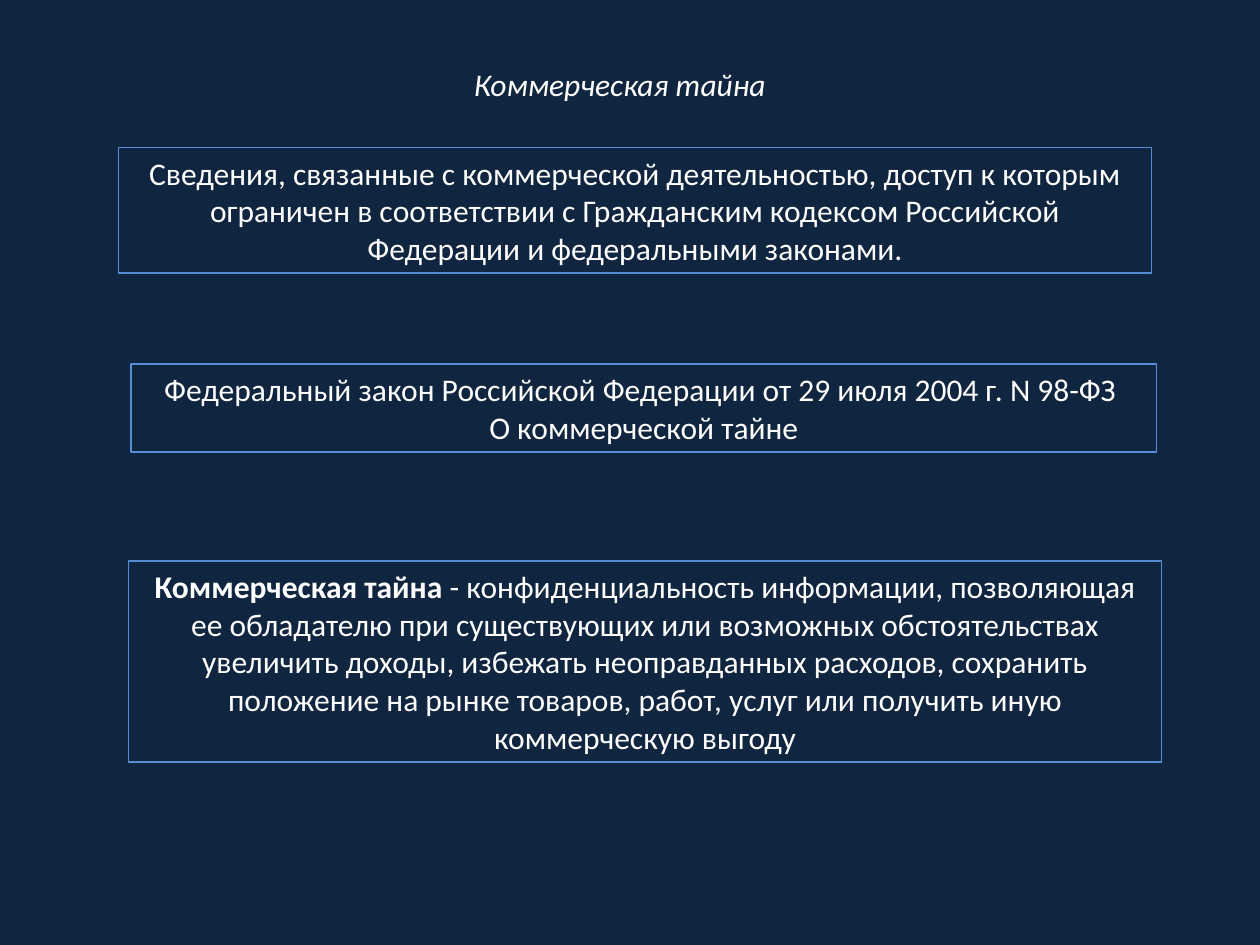
from pptx import Presentation
from pptx.dml.color import RGBColor
from pptx.enum.shapes import MSO_SHAPE as Shape
from pptx.enum.text import MSO_ANCHOR as Anchor, MSO_AUTO_SIZE as AutoSize, PP_ALIGN as Align
from pptx.util import Inches, Pt

COLORS = {"background": "10253F", "border": "558ED5", "text": "FFFFFF"}

SCOPE = [[("Сведения, связанные с коммерческой деятельностью, доступ к которым "
           "ограничен в соответствии с Гражданским кодексом Российской "
           "Федерации и федеральными законами.", False)]]
LAW = [
    [("Федеральный закон Российской Федерации от 29 июля 2004 г. N 98-ФЗ ", False)],
    [("О коммерческой тайне", False)],
]
DEFINITION = [[
    ("Коммерческая тайна", True),
    (" - конфиденциальность информации, позволяющая ее обладателю при "
     "существующих или возможных обстоятельствах увеличить доходы, избежать "
     "неоправданных расходов, сохранить положение на рынке товаров, работ, "
     "услуг или получить иную коммерческую выгоду", False),
]]


def color(name):
    return RGBColor.from_string(COLORS[name])


def write(frame, paragraphs, italic=False):
    frame.word_wrap = True
    frame.auto_size = AutoSize.SHAPE_TO_FIT_TEXT
    frame.vertical_anchor = Anchor.TOP
    for index, parts in enumerate(paragraphs):
        paragraph = frame.add_paragraph() if index else frame.paragraphs[0]
        paragraph.alignment = Align.CENTER
        font = paragraph.font
        font.name = "Calibri"
        font.size = Pt(18)
        font.italic = italic
        font.color.rgb = color("text")
        for text, bold in parts:
            run = paragraph.add_run()
            run.text = text
            run.font.color.rgb = color("text")
            if bold:
                run.font.bold = True


def add_title(slide, text, *bounds):
    title = slide.shapes.add_textbox(*map(Inches, bounds))
    write(title.text_frame, [[(text, False)]], italic=True)


def add_statement(slide, paragraphs, *bounds):
    statement = slide.shapes.add_shape(Shape.RECTANGLE, *map(Inches, bounds))
    statement.shadow.inherit = False
    statement.fill.background()
    statement.line.color.rgb = color("border")
    statement.line.width = Pt(1)
    write(statement.text_frame, paragraphs)


def main():
    deck = Presentation()
    deck.slide_width, deck.slide_height = Inches(10), Inches(7.5)
    slide = deck.slides.add_slide(deck.slide_layouts[6])
    slide.background.fill.solid()
    slide.background.fill.fore_color.rgb = color("background")

    add_title(slide, "Коммерческая тайна", 3.28, 0.47, 3.28, 0.4)
    add_statement(slide, SCOPE, 0.94, 1.17, 8.2, 1)
    add_statement(slide, LAW, 1.04, 2.89, 8.14, 0.7)
    add_statement(slide, DEFINITION, 1.02, 4.45, 8.2, 1.6)
    deck.save("out.pptx")


if __name__ == "__main__":
    main()
